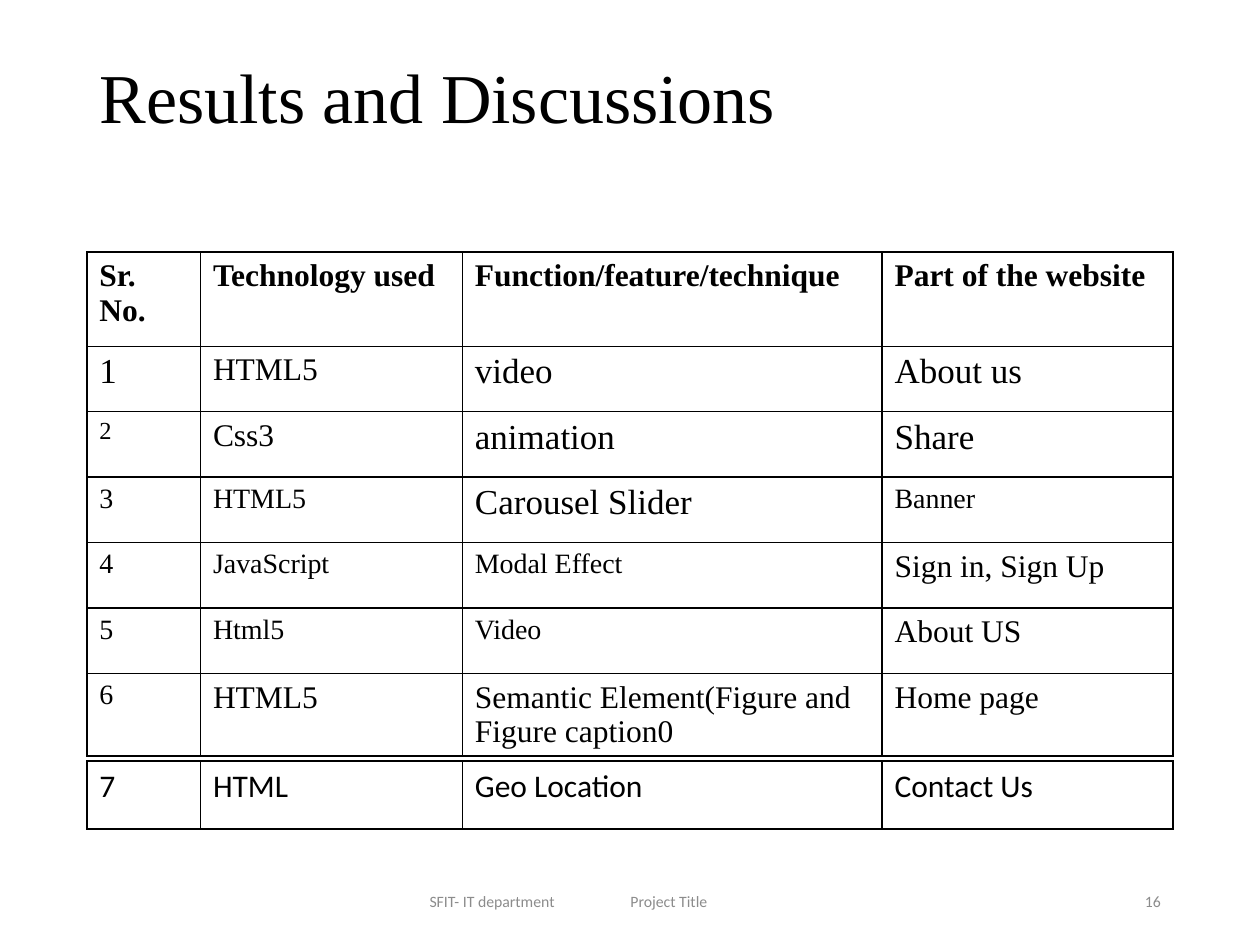
from dataclasses import dataclass

import pptx
import pptx.dml.color
import pptx.enum.text
import pptx.oxml
import pptx.oxml.ns
import pptx.util
from pptx.util import Cm, Pt

COLORS = {"text": "000000", "border": "000000", "footer": "8C8C8C"}
SERIF, SANS = "Times New Roman", "Calibri"
LEFT = 1.75
COL_WIDTHS = (2.29, 5.28, 8.46, 5.87)
ALIGN = pptx.enum.text.PP_ALIGN
ANCHOR = pptx.enum.text.MSO_ANCHOR


@dataclass
class Row:
    texts: tuple[str, ...]
    sizes: tuple[int, ...]
    height: float = 1.32
    bold: bool = False


@dataclass
class Footer:
    text: str
    left: float
    width: float
    align: ALIGN


RESULTS = [
    Row(("Sr. No.", "Technology used", "Function/feature/technique", "Part of the website"),
        (18, 18, 18, 18), height=1.9, bold=True),
    Row(("1", "HTML5", "video", "About us"), (20, 18, 20, 20)),
    Row(("2", "Css3", "animation", "Share"), (14, 18, 20, 20)),
    Row(("3", "HTML5", "Carousel Slider", "Banner"), (16, 16, 20, 16)),
    Row(("4", "JavaScript", "Modal Effect", "Sign in, Sign Up"), (16, 16, 16, 18)),
    Row(("5", "Html5", "Video", "About US"), (16, 16, 16, 18)),
    Row(("6", "HTML5", "Semantic Element(Figure and Figure caption0", "Home page"),
        (16, 18, 18, 18)),
]
LAST_RESULT = [Row(("7", "HTML", "Geo Location", "Contact Us"), (18, 18, 18, 18), height=1.37)]
FOOTERS = [
    Footer("SFIT- IT department\tProject Title", 8.41, 8.58, ALIGN.LEFT),
    Footer("16", 17.93, 5.72, ALIGN.RIGHT),
]


def add_run(p, text: str, size: int, font: str, color: str, bold: bool = False) -> None:
    r = p.add_run()
    r.text = text
    r.font.size = Pt(size)
    r.font.name = font
    r.font.bold = bold
    r.font.color.rgb = pptx.dml.color.RGBColor.from_string(COLORS[color])


def add_borders(cell) -> None:
    tc_pr = cell._tc.get_or_add_tcPr()
    for side in ("lnL", "lnR", "lnT", "lnB"):
        tc_pr.append(pptx.oxml.parse_xml(
            f'<a:{side} {pptx.oxml.ns.nsdecls("a")} w="{Pt(1)}"><a:solidFill>'
            f'<a:srgbClr val="{COLORS["border"]}"/></a:solidFill></a:{side}>'))


def add_grid(s, rows: list[Row], top: float, font: str) -> None:
    height = sum(row.height for row in rows)
    table = s.shapes.add_table(len(rows), len(COL_WIDTHS), Cm(LEFT), Cm(top),
                               Cm(sum(COL_WIDTHS)), Cm(height)).table
    table.first_row = table.horz_banding = False
    for column, width in zip(table.columns, COL_WIDTHS):
        column.width = Cm(width)
    for i, row in enumerate(rows):
        table.rows[i].height = Cm(row.height)
        for j, (text, size) in enumerate(zip(row.texts, row.sizes)):
            cell = table.cell(i, j)
            add_borders(cell)
            cell.fill.background()
            add_run(cell.text_frame.paragraphs[0], text, size, font, "text", row.bold)


def add_footer(s, footer: Footer) -> None:
    sp = s.shapes.add_textbox(Cm(footer.left), Cm(17.65), Cm(footer.width), Cm(1.02))
    tf = sp.text_frame
    tf.word_wrap = True
    tf.vertical_anchor = ANCHOR.MIDDLE
    p = tf.paragraphs[0]
    p.alignment = footer.align
    # Tab stop that separates department and project
    p._p.get_or_add_pPr().append(pptx.oxml.parse_xml(
        f'<a:tabLst {pptx.oxml.ns.nsdecls("a")}><a:tab pos="{Cm(4.05)}" algn="l"/></a:tabLst>'))
    add_run(p, footer.text, 9, SANS, "footer")


def add_title(s, text: str) -> None:
    sp = s.shapes.title
    sp.left, sp.top, sp.width, sp.height = Cm(LEFT), Cm(1.02), Cm(22.81), Cm(3.68)
    tf = sp.text_frame
    tf.auto_size = pptx.enum.text.MSO_AUTO_SIZE.NONE
    tf.vertical_anchor = ANCHOR.TOP
    tf.margin_top = Cm(0.25)
    p = tf.paragraphs[0]
    p.alignment = ALIGN.LEFT
    p.line_spacing = 0.9
    add_run(p, text, 40, SERIF, "text")


def main() -> None:
    prs = pptx.Presentation()
    prs.slide_width, prs.slide_height = Cm(25.4), Cm(19.05)
    s = prs.slides.add_slide(prs.slide_layouts[5])
    add_title(s, "Results and Discussions")

    # Results, with the last one in a table of its own
    add_grid(s, RESULTS, 5.08, SERIF)
    add_grid(s, LAST_RESULT, 15.34, SANS)

    # Footer and page number
    for footer in FOOTERS:
        add_footer(s, footer)
    prs.save("out.pptx")


if __name__ == "__main__":
    main()
